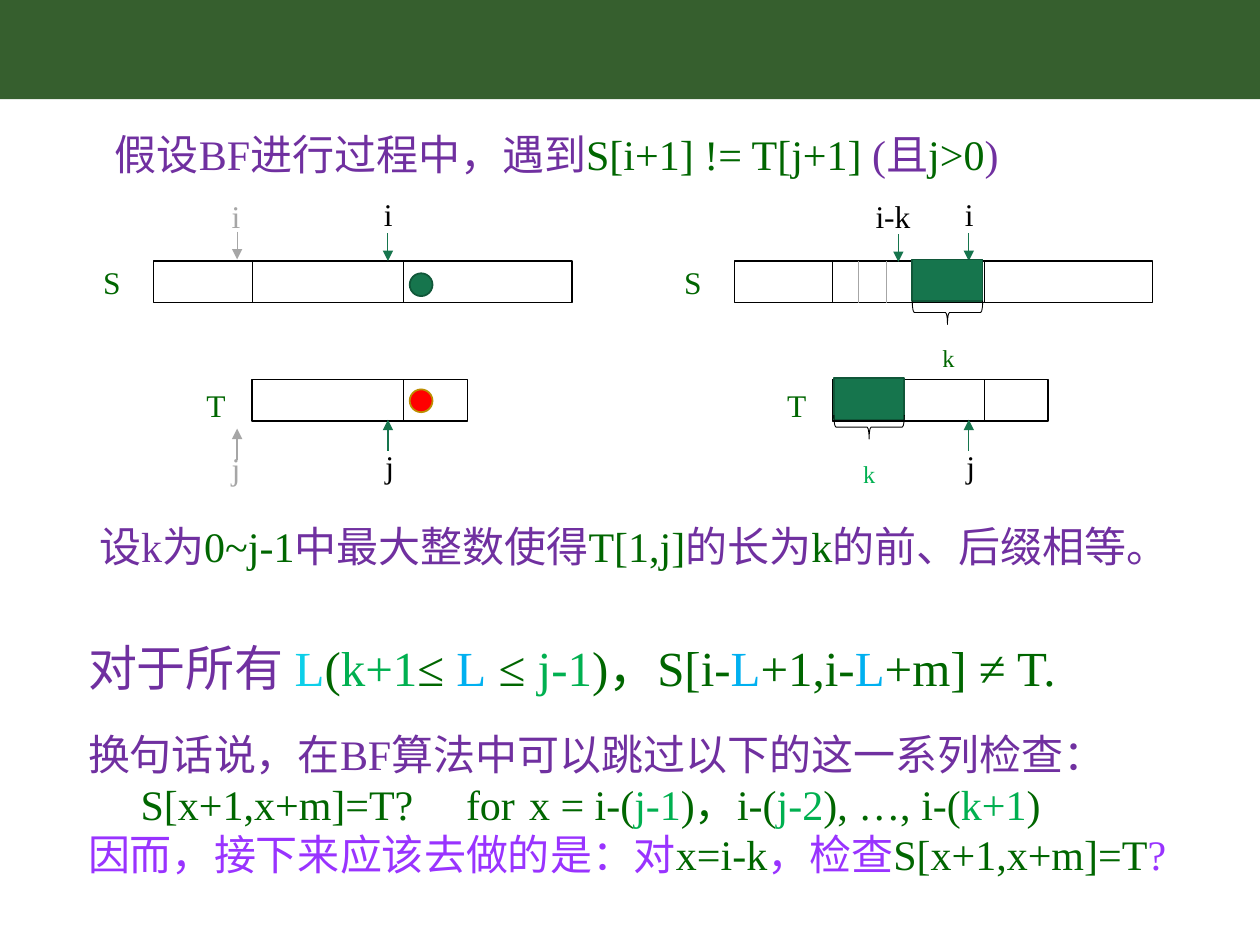
import pptx
import pptx.dml.color
import pptx.enum.shapes
import pptx.enum.text
import pptx.oxml.ns
import pptx.util
from lxml import etree

Cm, Pt = pptx.util.Cm, pptx.util.Pt
RGBColor = pptx.dml.color.RGBColor
SHAPE = pptx.enum.shapes.MSO_SHAPE
ALIGN = pptx.enum.text.PP_ALIGN
qn = pptx.oxml.ns.qn

BAND = RGBColor(0x36, 0x5F, 0x2E)
BLACK = RGBColor(0, 0, 0)
GREY = RGBColor(0xA6, 0xA6, 0xA6)
TEAL = RGBColor(0x16, 0x75, 0x4D)
TEAL_EDGE = RGBColor(0x10, 0x57, 0x39)
RED = RGBColor(0xFF, 0, 0)
GOLD_EDGE = RGBColor(0xBD, 0x8E, 0)
PURPLE = RGBColor(0x70, 0x30, 0xA0)
VIOLET = RGBColor(0x99, 0x33, 0xFF)
DARK = RGBColor(0, 0x66, 0)
GREEN = RGBColor(0, 0xB0, 0x50)
CYAN = RGBColor(0x0D, 0xCF, 0xE9)
BLUE = RGBColor(0, 0xB0, 0xF0)

# Matching diagram, in centimetres
PANEL_STEP = 11.71
S_TOP, T_TOP, BAR_HEIGHT = 5.26, 7.65, 0.84
S_LEFT, S_WIDTH = 3.1, 8.43
T_LEFT, T_WIDTH = 5.08, 4.34
MISMATCH, POINTER = 8.13, 7.82
BLOCK_WIDTH = 1.42


class SlideBuilder:
    font_name = "Times New Roman"

    def __init__(self, slide):
        self.slide = slide

    def shape(self, kind, left, top, width, height, fill=None, line=None, weight=0.75):
        shape = self.slide.shapes.add_shape(kind, Cm(left), Cm(top), Cm(width), Cm(height))
        shape.shadow.inherit = False
        if fill is None:
            shape.fill.background()
        else:
            shape.fill.solid()
            shape.fill.fore_color.rgb = fill
        if line is None:
            shape.line.fill.background()
        else:
            shape.line.color.rgb = line
            shape.line.width = Pt(weight)
        return shape

    def line(self, x, start, end, color=BLACK, weight=0.5, arrow=False):
        connector = self.slide.shapes.add_connector(
            pptx.enum.shapes.MSO_CONNECTOR.STRAIGHT, Cm(x), Cm(start), Cm(x), Cm(end))
        connector.line.color.rgb = color
        connector.line.width = Pt(weight)
        if arrow:
            etree.SubElement(connector.line._get_or_add_ln(), qn("a:tailEnd"), type="triangle")
        etree.SubElement(connector._element.spPr, qn("a:effectLst"))

    def paragraph(self, paragraph, runs, size, before=0, indent=0, tabs=()):
        properties = paragraph._p.get_or_add_pPr()
        properties.set("marL", "0")
        properties.set("indent", str(Cm(indent)))
        etree.SubElement(properties, qn("a:buNone"))
        if tabs:
            tab_list = etree.SubElement(properties, qn("a:tabLst"))
            for tab in tabs:
                etree.SubElement(tab_list, qn("a:tab"), pos=str(Cm(tab)), algn="l")
        paragraph.alignment = ALIGN.LEFT
        paragraph.space_before = Pt(before)
        paragraph.font.name = self.font_name
        paragraph.font.size = Pt(size)
        for text, color in runs:
            run = paragraph.add_run()
            run.text = text
            run.font.color.rgb = color

    def text(self, left, top, width, height, paragraphs, holder=None, wrap=True):
        if holder is None:
            holder = self.slide.shapes.add_textbox(0, 0, 0, 0)
        holder.left, holder.top = Cm(left), Cm(top)
        holder.width, holder.height = Cm(width), Cm(height)
        frame = holder.text_frame
        frame.word_wrap = wrap
        frame.auto_size = pptx.enum.text.MSO_AUTO_SIZE.NONE
        frame.vertical_anchor = pptx.enum.text.MSO_ANCHOR.TOP
        for index, options in enumerate(paragraphs):
            paragraph = frame.add_paragraph() if index else frame.paragraphs[0]
            self.paragraph(paragraph, **options)
        return frame

    def label(self, text, left, top, color=BLACK, size=18, width=0.91):
        return self.text(left, top, width, 1.02,
                         [dict(runs=[(text, color)], size=size)], wrap=False)

    def pointer(self, x, start, end, color=TEAL, weight=0.5):
        self.line(x, start, end, color, weight, arrow=True)

    def panel(self, offset):
        """Text S above pattern T, with the pointers i and j."""
        self.shape(SHAPE.RECTANGLE, S_LEFT + offset, S_TOP, S_WIDTH, BAR_HEIGHT, line=BLACK)
        self.shape(SHAPE.RECTANGLE, T_LEFT + offset, T_TOP, T_WIDTH, BAR_HEIGHT, line=BLACK)
        for x, top in ((T_LEFT, S_TOP), (MISMATCH, S_TOP), (MISMATCH, T_TOP)):
            self.line(x + offset, top, top + BAR_HEIGHT)
        self.pointer(POINTER + offset, 4.7, S_TOP)
        self.pointer(POINTER + offset, 9.09, 8.46, weight=0.75)
        self.label("i", 7.49 + offset, 3.81)
        self.label("j", 7.52 + offset, 8.89)
        self.label("S", 1.83 + offset, 5.18, DARK, width=1.12)
        self.label("T", 3.91 + offset, T_TOP, DARK, width=1.12)

    def matched_block(self, left, top, brace_middle, label_left, label_top, color):
        """Filled block of length k with a brace and label below."""
        self.shape(SHAPE.RECTANGLE, left, top, BLOCK_WIDTH, BAR_HEIGHT, TEAL, TEAL_EDGE, 1)
        brace = self.shape(SHAPE.RIGHT_BRACE, left + BLOCK_WIDTH / 2 - 0.24,
                           brace_middle - BLOCK_WIDTH / 2, 0.48, BLOCK_WIDTH,
                           line=BLACK, weight=0.5)
        brace.rotation = 90
        frame = self.label("k", label_left, label_top, color, size=24)
        frame.paragraphs[0].runs[0].font._element.set("baseline", "-25000")


def main():
    presentation = pptx.Presentation()
    presentation.slide_width, presentation.slide_height = Cm(25.4), Cm(19.05)
    slide = presentation.slides.add_slide(presentation.slide_layouts[1])
    builder = SlideBuilder(slide)

    # Header band
    builder.shape(SHAPE.RECTANGLE, 0, 0, 25.4, 2.0, BAND)

    # Premise
    builder.text(2.06, 2.46, 20.37, 1.27, [dict(size=24, runs=[
        ("假设BF进行过程中，遇到", PURPLE), ("S[i+1] != T[j+1]", DARK),
        (" (且", PURPLE), ("j>0", DARK), (")", PURPLE)])], slide.shapes.title)

    # Left panel: the mismatch
    builder.panel(0)
    for top, fill, edge in ((5.51, TEAL, TEAL_EDGE), (7.85, RED, GOLD_EDGE)):
        builder.shape(SHAPE.OVAL, 8.26, top, 0.46, 0.46, fill, edge, 1)
    builder.pointer(4.78, 4.67, 5.23, GREY)
    builder.pointer(4.78, 9.27, 8.64, GREY, 0.75)
    builder.label("i", 4.42, 3.84, GREY)
    builder.label("j", 4.42, 8.92, GREY)

    # Right panel: equal prefix and suffix of length k
    builder.panel(PANEL_STEP)
    for x in (17.3, 17.86):
        builder.line(x, S_TOP, S_TOP + BAR_HEIGHT, GREY)
    builder.pointer(18.11, 4.72, 5.28)
    builder.label("i-k", 17.4, 3.84, width=1.42)
    builder.matched_block(18.39, 5.23, 6.3, 18.75, 6.22, DARK)
    builder.matched_block(16.81, 7.62, 8.61, 17.15, 8.56, GREEN)

    # Definition of k
    builder.text(1.75, 10.36, 21.97, 2.31, [dict(size=24, runs=[
        ("设k为", PURPLE), ("0~j-1", DARK), ("中最大整数使得", PURPLE), ("T[1,j]", DARK),
        ("的长为", PURPLE), ("k", DARK), ("的前、后缀相等。", PURPLE)])])

    # Conclusions
    builder.text(1.52, 12.73, 22.38, 5.33, [
        dict(size=28, runs=[
            ("对于所有 ", PURPLE), ("L", CYAN), ("(", DARK), ("k+1", GREEN), ("≤ ", DARK),
            ("L", BLUE), (" ≤ ", DARK), ("j-1", GREEN), (")，S[i-", DARK), ("L", BLUE),
            ("+1,i-", DARK), ("L", BLUE), ("+m] ≠ T.", DARK)]),
        dict(size=24, before=18, runs=[
            ("换句话说，在BF算法中可以跳过以下的这一系列检查：", PURPLE)]),
        dict(size=24, indent=1.06, tabs=(7.19, 8.8), runs=[
            ("S[x+1,x+m]=T?\tfor\tx = i-(", DARK), ("j-1", GREEN), (")，i-(", DARK),
            ("j-2", GREEN), ("), …, i-(", DARK), ("k+1", GREEN), (")", DARK)]),
        dict(size=24, runs=[
            ("因而，接下来应该去做的是：对", VIOLET), ("x=i-k", DARK), ("，检查", VIOLET),
            ("S[x+1,x+m]=T", DARK), ("?", VIOLET)]),
    ], slide.placeholders[1])

    presentation.save("out.pptx")


if __name__ == "__main__":
    main()
